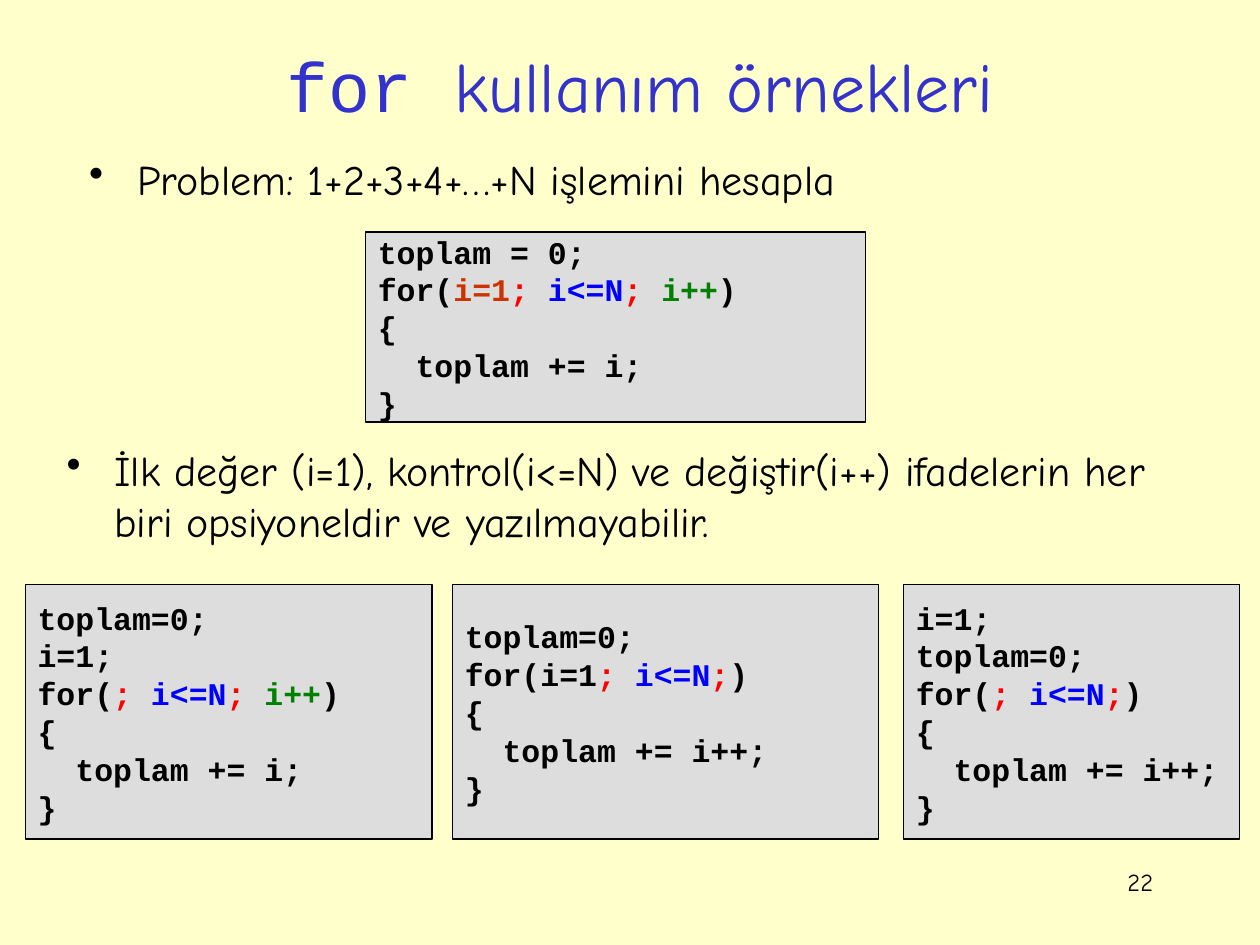
import dataclasses

import pptx
import pptx.dml.color
import pptx.enum.shapes
import pptx.enum.text
import pptx.oxml.ns
import pptx.util
from lxml import etree

RGBColor = pptx.dml.color.RGBColor
PALE_YELLOW = RGBColor(0xFF, 0xFF, 0xCC)
TITLE_BLUE = RGBColor(0x33, 0x33, 0xCC)
BOX_GREY = RGBColor(0xDD, 0xDD, 0xDD)
BLACK = RGBColor(0, 0, 0)
INIT_ORANGE = RGBColor(0xCC, 0x33, 0x00)
SEPARATOR_RED = RGBColor(0xFF, 0, 0)
TEST_BLUE = RGBColor(0, 0, 0xFF)
STEP_GREEN = RGBColor(0, 0x80, 0)

BODY_FONT = "Comic Neue"
CODE_FONT = "Courier New"
HANG = pptx.util.Inches(0.38)
ALIGN = pptx.enum.text.PP_ALIGN
ANCHOR = pptx.enum.text.MSO_ANCHOR


@dataclasses.dataclass(frozen=True)
class Area:
    left: float
    top: float
    width: float
    height: float

    def lengths(self) -> list[int]:
        return [pptx.util.Inches(n) for n in dataclasses.astuple(self)]


@dataclasses.dataclass(frozen=True)
class Span:
    text: str
    color: RGBColor = BLACK
    font: str = CODE_FONT


@dataclasses.dataclass(frozen=True)
class CodeBox:
    area: Area
    setup: list[str]
    loop: list[Span]
    body: str


@dataclasses.dataclass(frozen=True)
class Bullet:
    area: Area
    text: str


INIT = Span("i=1", INIT_ORANGE)
TEST = Span("i<=N", TEST_BLUE)
STEP = Span("i++", STEP_GREEN)
NEXT = Span("; ", SEPARATOR_RED)
LAST = Span(";", SEPARATOR_RED)
OPEN = Span("for(")
CLOSE = Span(")")

# Variants of the loop share one row
ROW_TOP, ROW_HEIGHT = 4.64, 2.02
CODE_BOXES = [
    CodeBox(Area(2.9, 1.84, 3.97, 1.51), ["toplam = 0;"],
            [OPEN, INIT, NEXT, TEST, NEXT, STEP, CLOSE], "toplam += i;"),
    CodeBox(Area(0.2, ROW_TOP, 3.23, ROW_HEIGHT), ["toplam=0;", "i=1;"],
            [OPEN, NEXT, TEST, NEXT, STEP, CLOSE], "toplam += i;"),
    CodeBox(Area(3.59, ROW_TOP, 3.38, ROW_HEIGHT), ["toplam=0;"],
            [Span("for(i=1"), NEXT, TEST, LAST, CLOSE], "toplam += i++;"),
    CodeBox(Area(7.17, ROW_TOP, 2.67, ROW_HEIGHT), ["i=1;", "toplam=0;"],
            [OPEN, NEXT, TEST, LAST, CLOSE], "toplam += i++;"),
]
BULLETS = [
    Bullet(Area(0.61, 1.17, 8.77, 0.7), "Problem: 1+2+3+4+…+N işlemini hesapla"),
    Bullet(Area(0.43, 3.48, 8.97, 0.91),
           "İlk değer (i=1), kontrol(i<=N) ve değiştir(i++) ifadelerin her "
           "biri opsiyoneldir ve yazılmayabilir."),
]


def add_spans(para, spans: list[Span], size: int, bold: bool = False) -> None:
    for span in spans:
        run = para.add_run()
        run.text = span.text
        run.font.name = span.font
        run.font.size = pptx.util.Pt(size)
        run.font.bold = bold
        run.font.color.rgb = span.color


def set_hanging(para) -> None:
    props = para._p.get_or_add_pPr()
    props.set("marL", str(HANG))
    props.set("indent", str(-HANG))


def add_text(page, area: Area, spans: list[Span], size: int,
             align=ALIGN.LEFT, anchor=ANCHOR.TOP):
    box = page.shapes.add_textbox(*area.lengths())
    box.text_frame.word_wrap = True
    box.text_frame.vertical_anchor = anchor
    para = box.text_frame.paragraphs[0]
    para.alignment = align
    add_spans(para, spans, size)
    return para


def add_bullet(page, bullet: Bullet) -> None:
    para = add_text(page, bullet.area, [Span(bullet.text, font=BODY_FONT)], 24)
    para.space_before = pptx.util.Pt(4.8)
    set_hanging(para)
    mark = etree.SubElement(para._p.get_or_add_pPr(), pptx.oxml.ns.qn("a:buChar"))
    mark.set("char", "•")


def add_code(page, code: CodeBox) -> None:
    box = page.shapes.add_shape(
        pptx.enum.shapes.MSO_SHAPE.RECTANGLE, *code.area.lengths())
    box.shadow.inherit = False
    box.fill.solid()
    box.fill.fore_color.rgb = BOX_GREY
    box.line.color.rgb = BLACK
    box.line.width = pptx.util.Pt(0.75)
    frame = box.text_frame
    frame.word_wrap = False
    frame.vertical_anchor = ANCHOR.MIDDLE
    lines = [[Span(text)] for text in code.setup]
    lines += [code.loop, [Span("{")], [Span("  " + code.body)], [Span("}")]]
    for index, spans in enumerate(lines):
        para = frame.add_paragraph() if index else frame.paragraphs[0]
        para.alignment = ALIGN.LEFT
        set_hanging(para)
        add_spans(para, spans, 18, bold=True)


# Page
deck = pptx.Presentation()
deck.slide_width = pptx.util.Inches(10)
deck.slide_height = pptx.util.Inches(7.5)
page = deck.slides.add_slide(deck.slide_layouts[6])
page.background.fill.solid()
page.background.fill.fore_color.rgb = PALE_YELLOW

# Title
add_text(page, Area(0.72, 0.28, 8.72, 0.77),
         [Span("for ", TITLE_BLUE),
          Span("kullanım örnekleri", TITLE_BLUE, BODY_FONT)],
         40, ALIGN.CENTER, ANCHOR.BOTTOM)

# Statements and code
for bullet in BULLETS:
    add_bullet(page, bullet)
for code in CODE_BOXES:
    add_code(page, code)

# Page number
add_text(page, Area(7.17, 6.83, 2.08, 0.5),
         [Span("22", font=BODY_FONT)], 14, ALIGN.RIGHT)

deck.save("out.pptx")
